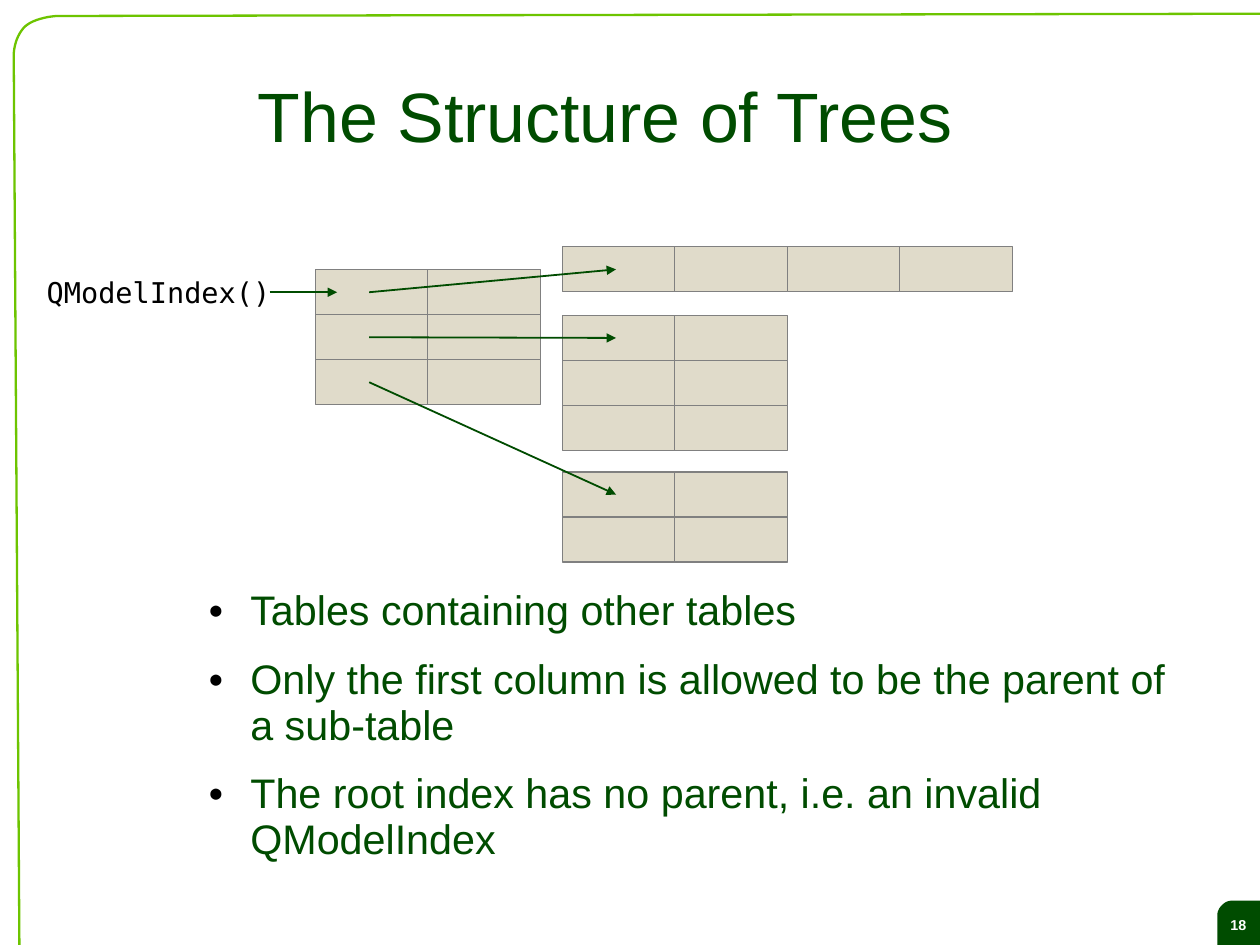
from lxml.etree import SubElement
from pptx import Presentation
from pptx.dml.color import RGBColor
from pptx.enum.shapes import MSO_CONNECTOR, MSO_SHAPE
from pptx.enum.text import MSO_ANCHOR as Anchor, PP_ALIGN as Align
from pptx.oxml.ns import qn
from pptx.util import Inches, Pt

DARK_GREEN = RGBColor(0x00, 0x4C, 0x00)
LIME = RGBColor(0x6D, 0xC4, 0x00)
BEIGE = RGBColor(0xE0, 0xDB, 0xCA)
GRAY = RGBColor(0x80, 0x80, 0x80)
WHITE = RGBColor(0xFF, 0xFF, 0xFF)
BLACK = RGBColor(0x00, 0x00, 0x00)
SANS, MONO = "Arial", "DejaVu Sans Mono"

TITLE = "The Structure of Trees"
ROOT_LABEL = "QModelIndex()"
PAGE_NUMBER = "18"
BULLETS = [
    "Tables containing other tables",
    "Only the first column is allowed to be the parent of a sub-table",
    "The root index has no parent, i.e. an invalid QModelIndex",
]

SLIDE_WIDTH, SLIDE_HEIGHT = 28 / 2.54, 21 / 2.54
CELL_WIDTH, CELL_HEIGHT = 2.5 / 2.54, 1 / 2.54
ANCHOR_X, ANCHOR_Y = 0.47, CELL_HEIGHT / 2
ROOT_TABLE = (2.76, 2.36, 3, 2)
SUB_TABLES = [(4.92, 2.16, 1, 4), (4.92, 2.76, 3, 2), (4.92, 4.13, 2, 2)]

FRAME_START, FRAME_END = (0.17, SLIDE_HEIGHT), (SLIDE_WIDTH, 0.12)
FRAME_CORNER = [
    [(0.12, 0.48), (0.12, 0.48), (0.12, 0.34), (0.21, 0.24)],
    [(0.21, 0.24), (0.30, 0.15), (0.49, 0.14), (0.50, 0.14)],
]
BADGE_START = (10.65, SLIDE_HEIGHT)
BADGE_CORNER = [
    [(10.65, 8.01), (10.65, 8.00), (10.65, 7.96), (10.69, 7.92)],
    [(10.69, 7.92), (10.73, 7.88), (10.76, 7.88), (10.79, 7.88)],
]
BADGE_EDGE = [(SLIDE_WIDTH, 7.88), (SLIDE_WIDTH, SLIDE_HEIGHT)]

presentation = Presentation()
presentation.slide_width = Inches(SLIDE_WIDTH)
presentation.slide_height = Inches(SLIDE_HEIGHT)
slide = presentation.slides.add_slide(presentation.slide_layouts[6])
shapes = slide.shapes


def curve_points(curves, steps=12):
    points = []
    for a, b, c, d in curves:
        for step in range(steps + 1):
            t = step / steps
            s = 1 - t
            weights = (s**3, 3 * s * s * t, 3 * s * t * t, t**3)
            points.append(tuple(
                sum(w * p[axis] for w, p in zip(weights, (a, b, c, d)))
                for axis in (0, 1)))
    return points


def add_outline(start, points, close):
    builder = shapes.build_freeform(*map(Inches, start))
    builder.add_line_segments([(Inches(x), Inches(y)) for x, y in points],
                              close=close)
    shape = builder.convert_to_shape()
    shape.shadow.inherit = False
    return shape


def add_text(box, texts, size, color, font=SANS, align=Align.LEFT,
             anchor=Anchor.TOP, insets=(0, 0, 0, 0), spacing=0.93,
             wrap=True, bold=False, bulleted=False):
    frame = shapes.add_textbox(*map(Inches, box)).text_frame
    frame.word_wrap = wrap
    frame.vertical_anchor = anchor
    (frame.margin_left, frame.margin_top,
     frame.margin_right, frame.margin_bottom) = map(Inches, insets)
    for index, text in enumerate(texts):
        paragraph = frame.paragraphs[0] if index == 0 else frame.add_paragraph()
        paragraph.text = text
        paragraph.alignment = align
        paragraph.line_spacing = spacing
        if bulleted:
            add_bullet(paragraph)
        paragraph.font.name = font
        paragraph.font.size = Pt(size)
        paragraph.font.bold = bold
        paragraph.font.color.rgb = color


def add_bullet(paragraph):
    paragraph.space_after = Pt(14.3)
    properties = paragraph._p.get_or_add_pPr()
    properties.set("marL", str(Inches(0.47)))
    properties.set("indent", str(Inches(-0.35)))
    bullet_color = SubElement(properties, qn("a:buClr"))
    SubElement(bullet_color, qn("a:srgbClr"), val=str(BLACK))
    SubElement(properties, qn("a:buSzPct"), val="45000")
    SubElement(properties, qn("a:buFont"), typeface=MONO)
    SubElement(properties, qn("a:buChar"), char="●")


def add_grid(left, top, rows, columns):
    for row in range(rows):
        for column in range(columns):
            cell = shapes.add_shape(
                MSO_SHAPE.RECTANGLE,
                Inches(left + column * CELL_WIDTH),
                Inches(top + row * CELL_HEIGHT),
                Inches(CELL_WIDTH), Inches(CELL_HEIGHT))
            cell.shadow.inherit = False
            cell.fill.solid()
            cell.fill.fore_color.rgb = BEIGE
            cell.line.color.rgb = GRAY
            cell.line.width = Pt(0.74)


def add_arrow(*ends):
    arrow = shapes.add_connector(MSO_CONNECTOR.STRAIGHT, *map(Inches, ends))
    arrow.line.color.rgb = DARK_GREEN
    arrow.line.width = Pt(1.13)
    SubElement(arrow.line._get_or_add_ln(), qn("a:tailEnd"), type="triangle")
    SubElement(arrow._element.spPr, qn("a:effectLst"))


badge = add_outline(BADGE_START, curve_points(BADGE_CORNER) + BADGE_EDGE, True)
badge.fill.solid()
badge.fill.fore_color.rgb = DARK_GREEN
badge.line.fill.background()
add_text((10.57, 7.88, 0.53, 0.43), [PAGE_NUMBER], 9, WHITE, bold=True,
         align=Align.CENTER, anchor=Anchor.MIDDLE,
         insets=(0.11, 0.07, 0.11, 0.06))

border = add_outline(FRAME_START, curve_points(FRAME_CORNER) + [FRAME_END], False)
border.fill.background()
border.line.color.rgb = LIME
border.line.width = Pt(1.45)

add_text((1.72, 0.38, 7.16, 1.28), [TITLE], 44, DARK_GREEN,
         align=Align.CENTER, anchor=Anchor.MIDDLE, insets=(0, 0.04, 0, 0))
add_text((1.72, 5.12, 8.79, 2.48), BULLETS, 26, DARK_GREEN,
         insets=(0, 0.03, 0, 0), bulleted=True)

for table in [ROOT_TABLE, *SUB_TABLES]:
    add_grid(*table)

root_left, root_top = ROOT_TABLE[:2]
for row, (left, top, *_) in enumerate(SUB_TABLES):
    add_arrow(root_left + ANCHOR_X, root_top + row * CELL_HEIGHT + ANCHOR_Y,
              left + ANCHOR_X, top + ANCHOR_Y)
add_arrow(2.36, root_top + ANCHOR_Y, 2.95, root_top + ANCHOR_Y)
add_text((0.31, 2.36, 2.15, 0.39), [ROOT_LABEL], 18, BLACK,
         font=MONO, insets=(0.1, 0.06, 0, 0.05), spacing=0.98, wrap=False)

presentation.save("out.pptx")
